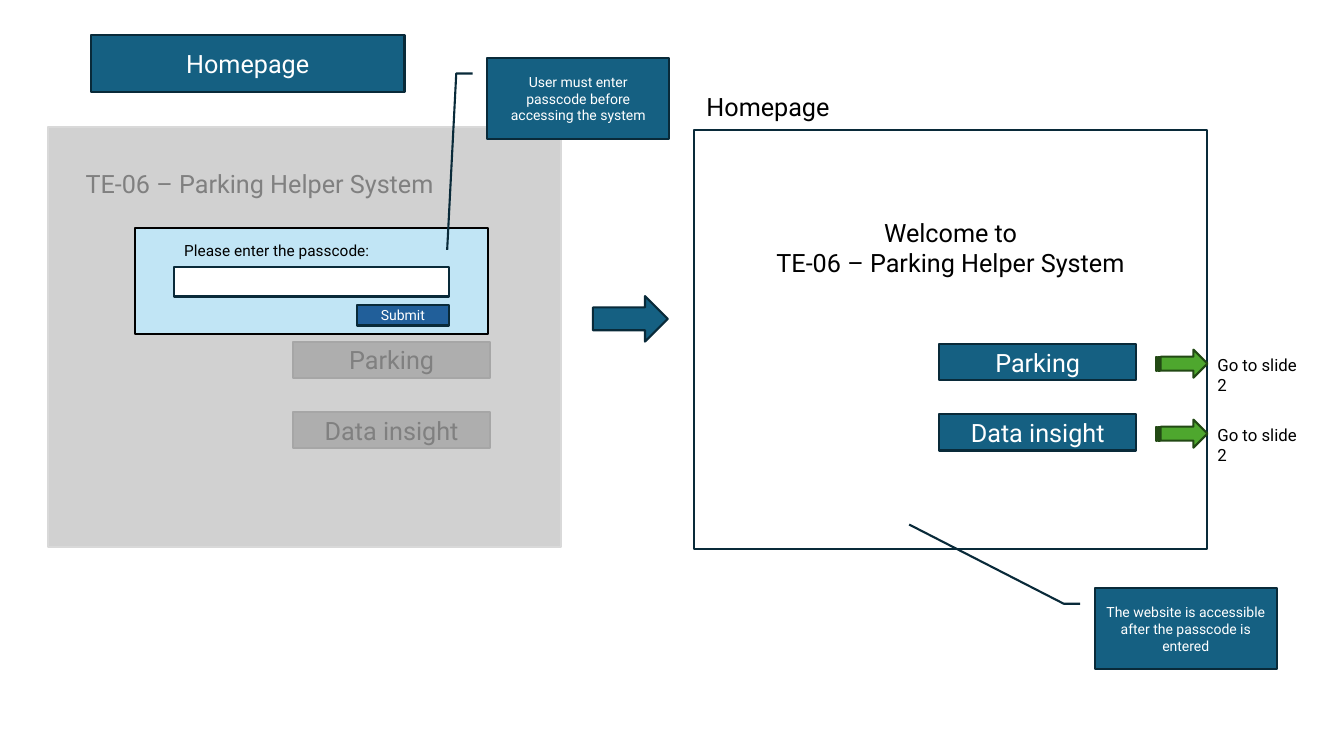
from pptx import Presentation
from pptx.dml.color import RGBColor
from pptx.enum import shapes, text
from pptx.util import Pt

NAVY, TEAL, WHITE, BLACK, GREY = "092A39", "156082", "FFFFFF", "000000", "808080"
SHAPE = shapes.MSO_SHAPE

prs = Presentation()
prs.slide_width, prs.slide_height = Pt(960), Pt(540)
s = prs.slides.add_slide(prs.slide_layouts[6])


def write(sp, words, size, color, align):
    tf = sp.text_frame
    tf.word_wrap = True
    tf.text = words
    for p in tf.paragraphs:
        p.alignment = align
        p.font.name, p.font.size = "Roboto", Pt(size)
        p.font.color.rgb = RGBColor.from_string(color)


def add_box(kind, box, fill, line, words="", size=18, color=WHITE):
    """Add an outlined shape with centred text; fill None leaves it open."""
    sp = s.shapes.add_shape(kind, *map(Pt, box))
    sp.shadow.inherit = False
    if fill:
        sp.fill.solid()
        sp.fill.fore_color.rgb = RGBColor.from_string(fill)
    else:
        sp.fill.background()
    sp.line.color.rgb = RGBColor.from_string(line)
    sp.line.width = Pt(1.5)
    if words:
        sp.text_frame.vertical_anchor = text.MSO_ANCHOR.MIDDLE
        write(sp, words, size, color, text.PP_ALIGN.CENTER)
    return sp


# Locked and unlocked pages, each with its two buttons
pages = [
    (34, 91, "D1D1D1", "D9D9D9", 209.5, 244, "AEAEAE", "A6A6A6", GREY),
    (495.5, 93, None, NAVY, 671, 245.5, TEAL, NAVY, WHITE),
]
for x, y, fill, line, button_x, button_y, button_fill, button_line, color in pages:
    add_box(SHAPE.RECTANGLE, (x, y, 366.5, 299.5), fill, line)
    for i, name in enumerate(["Parking", "Data insight"]):
        add_box(SHAPE.RECTANGLE, (button_x, button_y + 50.3 * i, 140.5, 26),
                button_fill, button_line, name, color=color)

# Passcode dialog, page flow and slide title
add_box(SHAPE.RECTANGLE, (96.5, 163, 252, 75.5), "C1E5F5", BLACK)
add_box(SHAPE.RECTANGLE, (124.5, 190.8, 196.5, 21), WHITE, NAVY)
add_box(SHAPE.RECTANGLE, (255, 218, 65.5, 14.5), "215F9A", NAVY, "Submit", 10)
add_box(SHAPE.RIGHT_ARROW, (423.5, 211.5, 53.5, 32.5), TEAL, NAVY)
add_box(SHAPE.RECTANGLE, (65, 25, 224, 41), TEAL, NAVY, "Homepage")

# Callouts, with the end of each leader as a share of height and width
callouts = [
    (348, 41.5, 2.37, -0.22, "User must enter passcode before accessing the system"),
    (782, 420.3, -0.79, -1.02, "The website is accessible after the passcode is entered"),
]
for x, y, end_y, end_x, words in callouts:
    sp = add_box(SHAPE.LINE_CALLOUT_2, (x, y, 130, 57.8), TEAL, NAVY, words, 10)
    for i, value in enumerate([0.19, -0.08, 0.19, -0.17, end_y, end_x]):
        sp.adjustments[i] = value

# Free text
left, center = text.PP_ALIGN.LEFT, text.PP_ALIGN.CENTER
labels = [
    (54, 116.8, 328, 29, "TE-06 – Parking Helper System", 18, GREY, left),
    (497.5, 61.8, 243, 29, "Homepage", 18, BLACK, left),
    (515, 151.5, 328, 51, "Welcome to\nTE-06 – Parking Helper System", 18, BLACK, center),
    (124.5, 168.5, 165, 21, "Please enter the passcode:", 11, BLACK, left),
]

# Link arrows beside the buttons
for y in (249.8, 299.8):
    add_box(SHAPE.STRIPED_RIGHT_ARROW, (826, y, 36.5, 20), "4EA72E", "224914")
    labels.append((862.5, y, 80, 21.8, "Go to slide 2", 12, BLACK, left))

for x, y, w, h, words, size, color, align in labels:
    write(s.shapes.add_textbox(Pt(x), Pt(y), Pt(w), Pt(h)), words, size, color, align)

prs.save("out.pptx")
